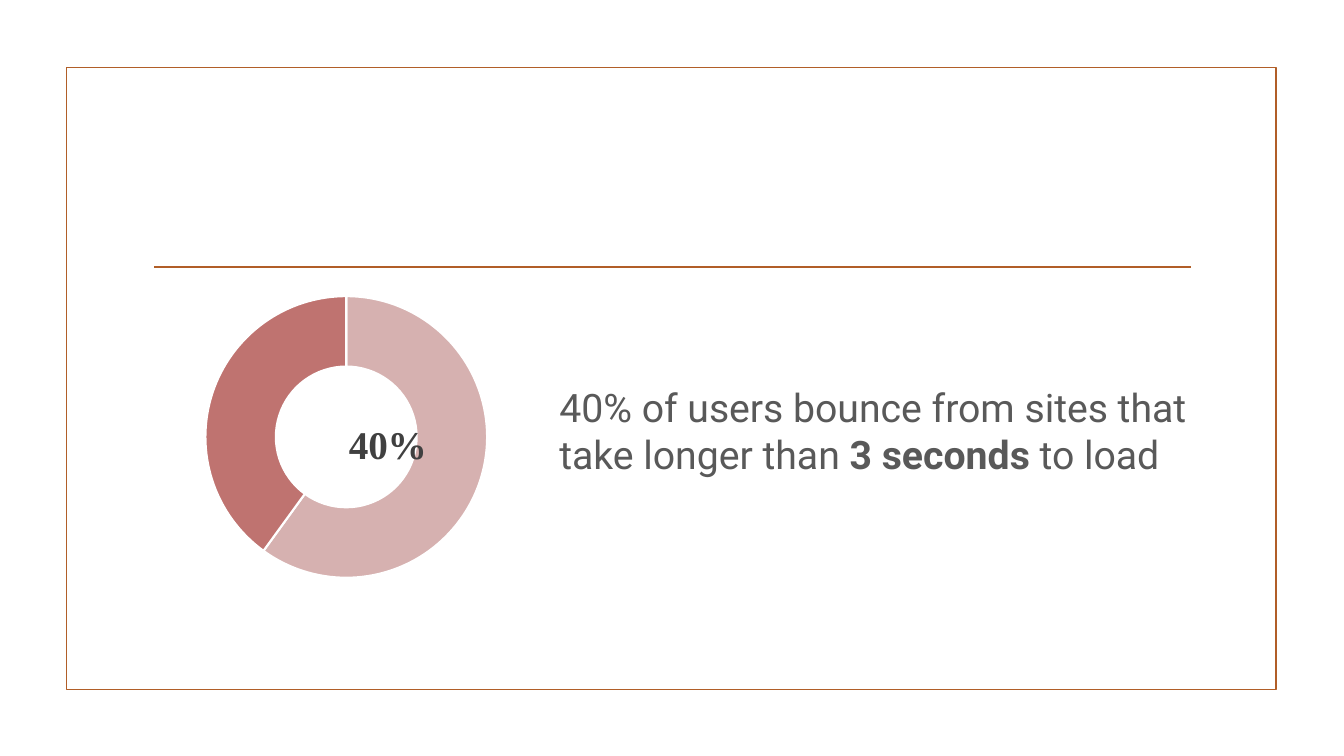
import pptx
import pptx.chart.data
import pptx.dml.color
import pptx.enum.chart
import pptx.enum.shapes
import pptx.oxml
import pptx.oxml.ns
import pptx.util
from pptx.util import Inches

# Content
MESSAGE = [
    ("40% of users bounce from sites that take longer than ", False),
    ("3 seconds", True),
    (" to load", False),
]
BOUNCE_LABEL = "40%"
CATEGORIES = ["1", "2", "3", "4"]
SHARES = [0.6, 0.4, None, None]

THEME = {
    "rule": "B15E28", "message": "595959", "label": "404040",
    "chart_text": "000000", "gap": "FFFFFF",
    "slices": ["D6B1B0", "BF7370", "A62F25", "8C2720"],
    "body_font": "Roboto", "chart_font": "Times New Roman",
    "body_size": 28, "bounce_size": 28, "label_size": 15, "chart_size": 10,
    "rule_width": 1.25, "gap_width": 1.5,
}
HOLE_PERCENT = 75
LABEL_SHIFT = {"x": -0.145, "y": -0.076}  # share of chart width and height


def color(name):
    return pptx.dml.color.RGBColor.from_string(name)


def style_font(font, family, size, rgb):
    font.name = family
    font.size = pptx.util.Pt(size)
    font.color.rgb = color(rgb)


def style_rule(line):
    line.color.rgb = color(THEME["rule"])
    line.width = pptx.util.Pt(THEME["rule_width"])


def add_frame(slide):
    frame = slide.shapes.add_shape(
        pptx.enum.shapes.MSO_SHAPE.RECTANGLE,
        Inches(0.66), Inches(0.67), Inches(12), Inches(6.17))
    frame.shadow.inherit = False
    frame.fill.background()
    style_rule(frame.line)

    divider = slide.shapes.add_connector(
        pptx.enum.shapes.MSO_CONNECTOR.STRAIGHT,
        Inches(1.53), Inches(2.65), Inches(11.81), Inches(2.65))
    style_rule(divider.line)
    properties = divider._element.spPr
    properties.append(pptx.oxml.parse_xml(
        f"<a:effectLst {pptx.oxml.ns.nsdecls('a')}/>"))


def add_message(slide):
    message = slide.shapes.add_textbox(
        Inches(5.45), Inches(3.75), Inches(6.46), Inches(2.68)).text_frame
    message.word_wrap = True
    sentence = message.paragraphs[0]
    sentence.space_after = pptx.util.Pt(6)
    style_font(sentence.font, THEME["body_font"], THEME["body_size"],
               THEME["message"])
    for words, bold in MESSAGE:
        run = sentence.add_run()
        run.text = words
        run.font.bold = bold


def label_doughnut(ring):
    labels = ring.data_labels
    labels.show_value = True
    style_font(labels.font, THEME["chart_font"], THEME["label_size"],
               THEME["label"])

    # Bounce label moved from the first slice into the hole
    caption = ring.points[0].data_label.text_frame.paragraphs[0]
    run = caption.add_run()
    run.text = BOUNCE_LABEL
    style_font(run.font, THEME["chart_font"], THEME["bounce_size"],
               THEME["label"])
    run.font.bold = True
    shift = "".join(f'<c:{axis} val="{amount}"/>'
                    for axis, amount in LABEL_SHIFT.items())
    layout = pptx.oxml.parse_xml(
        f"<c:layout {pptx.oxml.ns.nsdecls('c')}>"
        f"<c:manualLayout>{shift}</c:manualLayout></c:layout>")

    # The second slice carries no label
    ring.points[1].data_label.text_frame.text = ""
    first, second = labels._element.findall(pptx.oxml.ns.qn("c:dLbl"))
    first.find(pptx.oxml.ns.qn("c:idx")).addnext(layout)
    second.find(pptx.oxml.ns.qn("c:showVal")).set("val", "0")


def add_doughnut(slide):
    shares = pptx.chart.data.CategoryChartData(number_format="0%")
    shares.categories = CATEGORIES
    shares.add_series("Series 1", SHARES)
    doughnut = slide.shapes.add_chart(
        pptx.enum.chart.XL_CHART_TYPE.DOUGHNUT,
        Inches(1.42), Inches(2.8), Inches(4.04), Inches(3.07), shares).chart
    doughnut.has_legend = False
    doughnut.has_title = False
    style_font(doughnut.font, THEME["chart_font"], THEME["chart_size"],
               THEME["chart_text"])

    # Slices and hole
    plot = doughnut.plots[0]
    plot.vary_by_categories = True
    plot._element.find(pptx.oxml.ns.qn("c:holeSize")).set(
        "val", str(HOLE_PERCENT))
    ring = plot.series[0]
    for index, rgb in enumerate(THEME["slices"]):
        slice_format = ring.points[index].format
        slice_format.fill.solid()
        slice_format.fill.fore_color.rgb = color(rgb)
        slice_format.line.color.rgb = color(THEME["gap"])
        slice_format.line.width = pptx.util.Pt(THEME["gap_width"])
    label_doughnut(ring)


def main():
    deck = pptx.Presentation()
    deck.slide_width, deck.slide_height = Inches(13.33), Inches(7.5)
    slide = deck.slides.add_slide(deck.slide_layouts[6])
    add_frame(slide)
    add_message(slide)
    add_doughnut(slide)
    deck.save("out.pptx")


if __name__ == "__main__":
    main()
